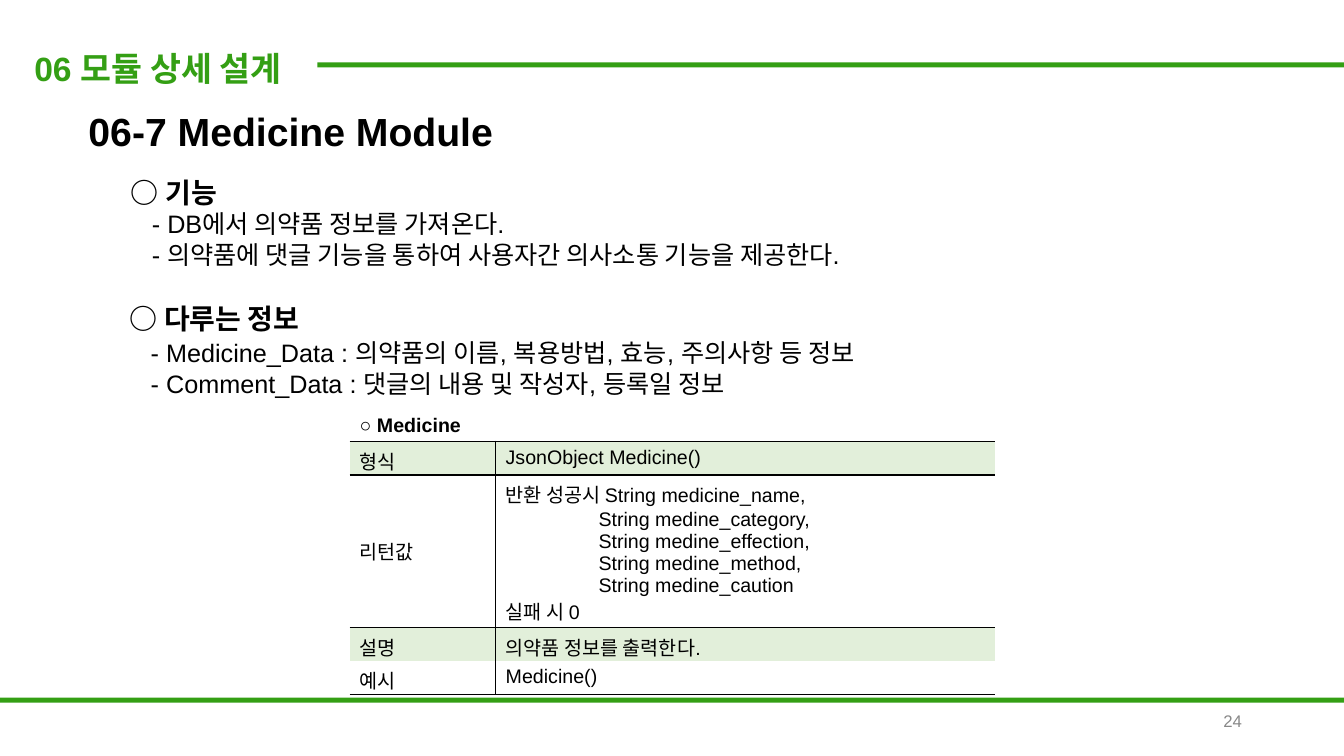
from pptx import Presentation
from pptx.dml.color import RGBColor
from pptx.enum.shapes import MSO_SHAPE
from pptx.enum.text import MSO_ANCHOR, PP_ALIGN
from pptx.oxml import parse_xml
from pptx.oxml.ns import nsdecls, qn
from pptx.util import Cm, Pt

GREEN, BLACK, GREY, PALE = "349F14", "000000", "888888", "E2EFDA"


def color(value):
    return RGBColor.from_string(value)


def write(tf, lines, anchor=MSO_ANCHOR.TOP, align=PP_ALIGN.LEFT):
    """Each line: text, size, colour, bold, left indent in cm, space before in pt."""
    tf.word_wrap = True
    tf.vertical_anchor = anchor
    for i, (text, size, hue, bold, indent, gap) in enumerate(lines):
        p = tf.paragraphs[0] if i == 0 else tf.add_paragraph()
        p.alignment = align
        p.space_before = Pt(gap)
        if indent:
            p._p.get_or_add_pPr().set("marL", str(Cm(indent)))
        r = p.add_run()
        r.text = text
        for name, value in {"name": "Arial", "size": Pt(size), "bold": bold}.items():
            setattr(r.font, name, value)
        r.font.color.rgb = color(hue)


prs = Presentation()
prs.slide_width, prs.slide_height = Cm(33.87), Cm(19.05)
s = prs.slides.add_slide(prs.slide_layouts[5])

# Green rules at top and bottom
for left, top, width in [(8, 1.57, 25.87), (0, 17.58, 33.87)]:
    sp = s.shapes.add_shape(MSO_SHAPE.RECTANGLE, Cm(left), Cm(top), Cm(width), Cm(0.13))
    sp.shadow.inherit = False
    sp.fill.solid()
    sp.fill.fore_color.rgb = color(GREEN)
    sp.line.fill.background()

# Section title
title = s.shapes.title
box = {"left": 0.61, "top": 1.07, "width": 7.39, "height": 1.27}
for name, value in box.items():
    setattr(title, name, Cm(value))
write(title.text_frame, [("06 모듈 상세 설계", 24, GREEN, True, 0, 0)])

# Heading, text blocks and page number
texts = [
    ((1.98, 2.59, 28.78, 1.45), MSO_ANCHOR.TOP, PP_ALIGN.LEFT,
     [("06-7 Medicine Module", 28, BLACK, True, 0, 0)]),
    ((3.05, 4.29, 28.78, 2.64), MSO_ANCHOR.TOP, PP_ALIGN.LEFT,
     [("○ 기능", 20, BLACK, True, 0, 0),
      ("- DB에서 의약품 정보를 가져온다.", 18, BLACK, False, 0.53, 0),
      ("- 의약품에 댓글 기능을 통하여 사용자간 의사소통 기능을 제공한다.", 18, BLACK, False, 0.53, 0)]),
    ((3.02, 7.47, 26.7, 2.74), MSO_ANCHOR.TOP, PP_ALIGN.LEFT,
     [("○ 다루는 정보", 20, BLACK, True, 0, 0),
      ("- Medicine_Data : 의약품의 이름, 복용방법, 효능, 주의사항 등 정보", 18, BLACK, False, 0.53, 2),
      ("- Comment_Data : 댓글의 내용 및 작성자, 등록일 정보", 18, BLACK, False, 0.53, 0)]),
    ((23.93, 17.65, 7.62, 1.02), MSO_ANCHOR.MIDDLE, PP_ALIGN.RIGHT,
     [("24", 12, GREY, False, 0, 0)]),
]
for place, anchor, align, lines in texts:
    sp = s.shapes.add_textbox(*map(Cm, place))
    write(sp.text_frame, lines, anchor, align)

# Module table: label, value lines with indent, fill
rows = [
    ("○ Medicine", [], None),
    ("형식", [("JsonObject Medicine()", 0)], PALE),
    ("리턴값", [("반환 성공시 String medicine_name,", 0),
             ("String medine_category,", 2.34),
             ("String medine_effection,", 2.34),
             ("String medine_method,", 2.34),
             ("String medine_caution", 2.34),
             ("실패 시 0", 0)], None),
    ("설명", [("의약품 정보를 출력한다.", 0)], PALE),
    ("예시", [("Medicine()", 0)], None),
]
heights = [1.04, 0.84, 3.84, 0.84, 0.84]
frame = s.shapes.add_table(len(rows), 2, Cm(8.81), Cm(10.08), Cm(16.26), Cm(sum(heights)))
table = frame.table
table.first_row = table.horz_banding = False
# Plain table style without grid
table._tbl.tblPr.find(qn("a:tableStyleId")).text = "{2D5ABB26-0587-4C30-8999-92F81FD0307C}"
for column, width in zip(table.columns, [3.68, 12.58]):
    column.width = Cm(width)

ruled = {0, 1, len(rows) - 1}  # rows with a line below
for i, (label, values, fill) in enumerate(rows):
    table.rows[i].height = Cm(heights[i])
    for j in range(2):
        cell = table.cell(i, j)
        sides = {"lnL": i > 0 and j == 1, "lnR": i > 0 and j == 0,
                 "lnT": i - 1 in ruled, "lnB": i in ruled}
        for side, shown in sides.items():
            if shown:
                cell._tc.get_or_add_tcPr().append(parse_xml(
                    f'<a:{side} {nsdecls("a")} w="{Pt(1)}"><a:solidFill>'
                    f'<a:srgbClr val="{BLACK}"/></a:solidFill></a:{side}>'))
        if fill:
            cell.fill.solid()
            cell.fill.fore_color.rgb = color(fill)
        else:
            cell.fill.background()
    head = i == 0
    write(table.cell(i, 0).text_frame, [(label, 14, BLACK, head, 0, 0)])
    table.cell(i, 0).vertical_anchor = MSO_ANCHOR.BOTTOM if head else MSO_ANCHOR.MIDDLE
    if values:
        write(table.cell(i, 1).text_frame,
              [(text, 14, BLACK, False, indent, 0) for text, indent in values])
table.cell(0, 0).merge(table.cell(0, 1))

prs.save("out.pptx")
